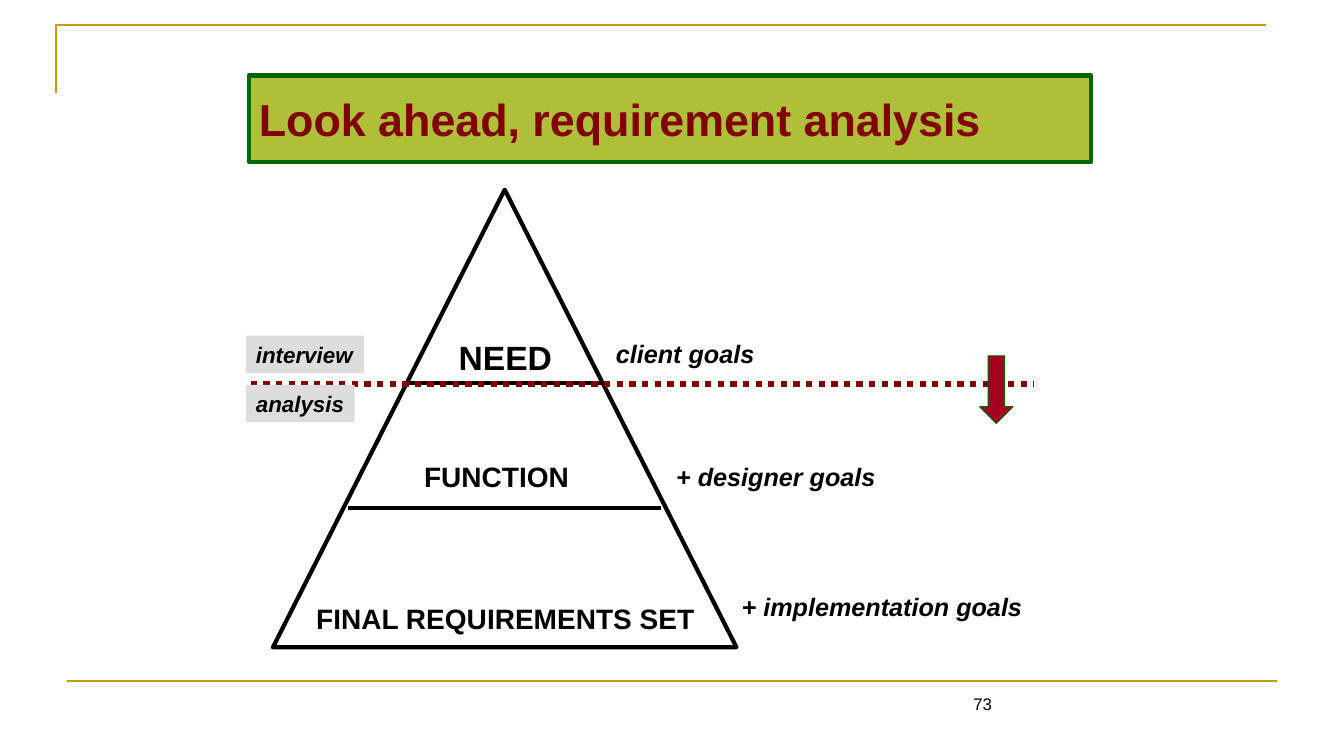
import lxml.etree
import pptx
import pptx.dml.color
import pptx.enum.dml
import pptx.enum.shapes
import pptx.enum.text
import pptx.oxml.ns
import pptx.util

COLOURS = {
    "black": "000000",
    "gold": "CC9900",
    "olive": "AFBF39",
    "green": "006600",
    "maroon": "800000",
    "crimson": "A50021",
    "grey": "DDDDDD",
}
FONT = "Arial"
ALIGN = pptx.enum.text.PP_ALIGN
SHAPE = pptx.enum.shapes.MSO_SHAPE


def lengths(*values):
    """Return the values in centimetres as lengths."""
    return [pptx.util.Cm(value) for value in values]


def colour(name):
    """Return the named colour."""
    return pptx.dml.color.RGBColor.from_string(COLOURS[name])


def fill_solid(shape, name):
    """Fill a shape with one colour."""
    shape.fill.solid()
    shape.fill.fore_color.rgb = colour(name)


def style_line(line, name, width):
    """Set the colour and width of a line."""
    line.color.rgb = colour(name)
    line.width = pptx.util.Pt(width)


def write_text(shape, text, size, text_colour="black", bold=True, italic=False, align=ALIGN.LEFT):
    """Put one formatted paragraph into a shape."""
    shape.text_frame.text = text
    paragraph = shape.text_frame.paragraphs[0]
    paragraph.alignment = align
    font = paragraph.runs[0].font
    font.name = FONT
    font.size = pptx.util.Pt(size)
    font.bold = bold
    font.italic = italic
    font.color.rgb = colour(text_colour)


def add_label(shapes, box, text, size, wrap=False, fill=None, **style):
    """Add a text box, with a fill if one is named."""
    label = shapes.add_textbox(*lengths(*box))
    label.text_frame.word_wrap = wrap
    if fill:
        fill_solid(label, fill)
    write_text(label, text, size, **style)


def add_level_line(shapes, left, right, height, name, width):
    """Add a horizontal line."""
    connector = shapes.add_connector(
        pptx.enum.shapes.MSO_CONNECTOR.STRAIGHT, *lengths(left, height, right, height))
    style_line(connector.line, name, width)
    properties = connector.element.find(pptx.oxml.ns.qn("p:spPr"))
    lxml.etree.SubElement(properties, pptx.oxml.ns.qn("a:effectLst"))
    return connector


def add_shape(shapes, kind, box, fill, line, width):
    """Add a preset shape, hollow if no fill is named."""
    shape = shapes.add_shape(kind, *lengths(*box))
    shape.shadow.inherit = False
    if fill:
        fill_solid(shape, fill)
    else:
        shape.fill.background()
    style_line(shape.line, line, width)


def add_frame(shapes):
    """Add the gold corner, the footer rule and the slide number."""
    left, top, right, bottom = lengths(1.42, 0.64, 31.9, 2.34)
    builder = shapes.build_freeform(left, bottom)
    builder.add_line_segments([(left, top), (right, top)], close=False)
    corner = builder.convert_to_shape()
    corner.shadow.inherit = False
    corner.fill.background()
    style_line(corner.line, "gold", 1.5)
    add_level_line(shapes, 1.7, 32.18, 17.15, "gold", 1.5)
    add_label(shapes, (24.28, 17.35, 7.9, 1.27), "73", 12, wrap=True, bold=False)


def format_title(title):
    """Place and format the title."""
    title.left, title.top, title.width, title.height = lengths(6.27, 1.9, 21.23, 2.18)
    fill_solid(title, "olive")
    style_line(title.line, "green", 3)
    title.text_frame.auto_size = pptx.enum.text.MSO_AUTO_SIZE.NONE
    title.text_frame.vertical_anchor = pptx.enum.text.MSO_ANCHOR.MIDDLE
    write_text(title, "Look ahead, requirement analysis", 32, "maroon")


def add_pyramid(shapes):
    """Add the triangle with its three levels."""
    add_label(shapes, (11.25, 8.36, 2.97, 1.27), "NEED", 24, wrap=True, align=ALIGN.CENTER)
    add_label(shapes, (10.44, 11.46, 4.52, 1.09), "FUNCTION", 20, wrap=True)
    add_label(shapes, (7.72, 15.04, 10.06, 1.09), "FINAL REQUIREMENTS SET", 20)
    add_shape(shapes, SHAPE.ISOSCELES_TRIANGLE, (6.88, 4.78, 11.68, 11.53), None, "black", 3)
    add_level_line(shapes, 8.76, 16.66, 12.8, "black", 3)
    add_level_line(shapes, 10.26, 15.16, 9.65, "black", 3)


def add_goals(shapes):
    """Add the goals to the right of each level."""
    goals = [
        ((15.27, 8.41, 4.01, 1.02), "client goals"),
        ((16.79, 11.51, 5.54, 1.02), "+ designer goals"),
        ((18.44, 14.78, 7.59, 1.02), "+ implementation goals"),
    ]
    for box, text in goals:
        add_label(shapes, box, text, 18, italic=True)


def add_boundary(shapes):
    """Add the dotted line between interview and analysis."""
    boundary = add_level_line(shapes, 6.32, 26.06, 9.68, "maroon", 4.5)
    boundary.line.dash_style = pptx.enum.dml.MSO_LINE.ROUND_DOT
    for top, width, text in [(8.46, 2.97, "interview"), (9.7, 2.74, "analysis")]:
        add_label(shapes, (6.2, top, width, 0.94), text, 16, fill="grey", italic=True)
    add_shape(shapes, SHAPE.DOWN_ARROW, (24.69, 8.97, 0.84, 1.7), "crimson", "green", 0.75)


def main():
    """Build the slide and save it."""
    presentation = pptx.Presentation()
    presentation.slide_width, presentation.slide_height = lengths(33.87, 19.05)
    slide = presentation.slides.add_slide(presentation.slide_layouts[5])
    format_title(slide.shapes.title)
    add_frame(slide.shapes)
    add_pyramid(slide.shapes.add_group_shape().shapes)
    add_goals(slide.shapes)
    add_boundary(slide.shapes.add_group_shape().shapes)
    presentation.save("out.pptx")


if __name__ == "__main__":
    main()
